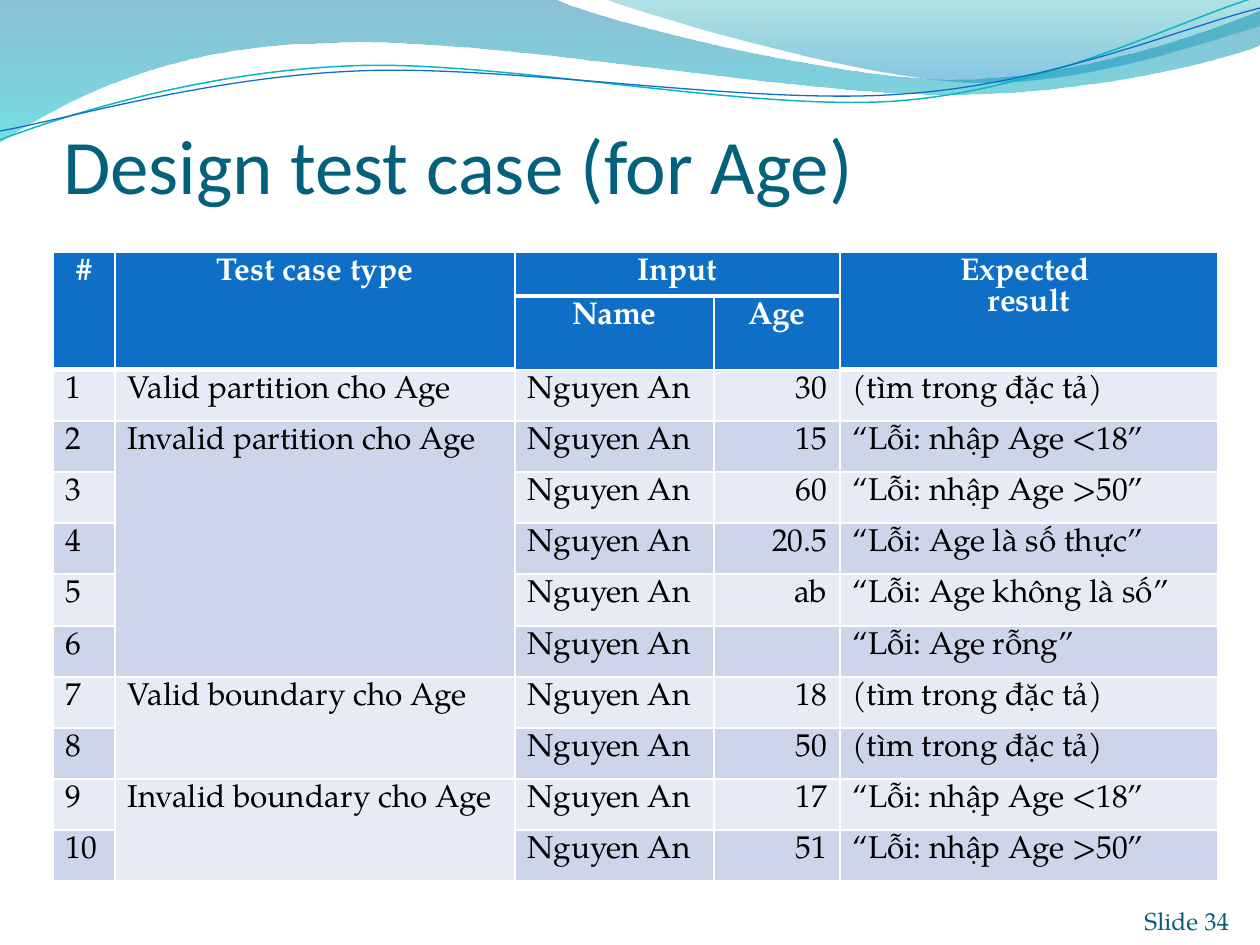
import math
from dataclasses import dataclass
from typing import Optional

from lxml import etree
from pptx import Presentation
from pptx import util as u
from pptx.dml.color import RGBColor
from pptx.enum import text
from pptx.oxml.ns import qn

PX = 914400 / 126
TILT = 2.7
SERIF = "TeX Gyre Pagella"
LEFT, CENTER, RIGHT = text.PP_ALIGN.LEFT, text.PP_ALIGN.CENTER, text.PP_ALIGN.RIGHT


@dataclass
class Stop:
    pos: float
    color: str
    alpha: int


@dataclass
class Wave:
    start: tuple
    segments: list
    stops: tuple = ()
    line: Optional[str] = None
    width: float = 0
    center: tuple = (0, 0)


@dataclass
class Case:
    kind: str
    age: str
    result: str
    span: int = 1


WAVES = [
    Wave((0, 0), [(554, -1), (600, 21, 837, 79, 955, 79), (1074, 79, 1207, 33, 1260, 11),
                  (1261, 45), (1239, 55, 1096, 96, 940, 94), (784, 94, 481, 35, 324, 43),
                  (163, 45, 58, 105, -1, 142), (0, 0)],
         stops=(Stop(0, "0074A1", 45), Stop(1, "00C6CF", 55))),
    Wave((604, -1), [(641, 14, 859, 78, 969, 82), (1079, 87, 1211, 40, 1260, 26),
                     (1260, 0), (604, -1)],
         stops=(Stop(0, "00A1A9", 30), Stop(0.8, "008BBF", 45))),
    Wave((0, 140), [(60, 117, 199, 72, 349, 66), (498, 59, 747, 112, 898, 101),
                    (1050, 89, 1182, 19, 1257, -3)],
         line="0AB8BF", width=0.85, center=(629, 72)),
    Wave((0, 131), [(59, 121, 207, 77, 357, 71), (508, 64, 752, 106, 903, 94),
                    (1053, 84, 1186, 26, 1260, 8)],
         line="0F6FC6", width=0.75, center=(629, 74)),
]

IN_SPEC = "(tìm trong đặc tả)"
UNDER, OVER = "“Lỗi: nhập Age <18”", "“Lỗi: nhập Age >50”"
CASES = [
    Case("Valid partition cho Age", "30", IN_SPEC),
    Case("Invalid partition cho Age", "15", UNDER, 5),
    Case("", "60", OVER),
    Case("", "20.5", "“Lỗi: Age là số thực”"),
    Case("", "ab", "“Lỗi: Age không là số”"),
    Case("", "", "“Lỗi: Age rỗng”"),
    Case("Valid boundary cho Age", "18", IN_SPEC, 2),
    Case("", "50", IN_SPEC),
    Case("Invalid boundary cho Age", "17", UNDER, 2),
    Case("", "51", OVER),
]
HEADER = [["#", "Test case type", "Input", "", "Expected \nresult"],
          ["", "", "Name", "Age", ""]]
COLUMNS = [62, 400, 199, 126, 378]
ROWS = [44, 44] + [51] * 4 + [52] + [51] * 5


def px(n: float) -> u.Emu:
    return u.Emu(round(n * PX))


def rgb(color: str) -> RGBColor:
    return RGBColor.from_string(color)


def write(tf, content: str, *, size: float, font: str = SERIF, color: str = "000000",
          bold: bool = False, align=LEFT, spacing=None) -> None:
    for i, line in enumerate(content.split("\n")):
        p = tf.paragraphs[0] if i == 0 else tf.add_paragraph()
        p.alignment = align
        p.line_spacing = spacing
        if line:
            r = p.add_run()
            r.text = line
            r.font.name, r.font.size, r.font.bold = font, u.Pt(size), bold
            r.font.color.rgb = rgb(color)


def add_text(s, box: tuple, content: str, *, top_inset: int = 0, **fmt) -> None:
    tf = s.shapes.add_textbox(*map(px, box)).text_frame
    tf.word_wrap = True
    tf.vertical_anchor = text.MSO_ANCHOR.BOTTOM
    tf.margin_left = tf.margin_right = tf.margin_bottom = 0
    tf.margin_top = px(top_inset)
    write(tf, content, **fmt)


def turn(point: tuple, center: tuple, degrees: float) -> tuple:
    angle = math.radians(degrees)
    dx, dy = point[0] - center[0], point[1] - center[1]
    return (center[0] + dx * math.cos(angle) - dy * math.sin(angle),
            center[1] + dx * math.sin(angle) + dy * math.cos(angle))


def add_curve(s, wave: Wave):
    tilt = TILT if wave.line else 0
    points = [wave.start] + [seg[i:i + 2] for seg in wave.segments
                             for i in range(0, len(seg), 2)]
    first, *rest = [tuple(map(px, turn(pt, wave.center, tilt))) for pt in points]
    builder = s.shapes.build_freeform(*first)
    builder.add_line_segments(rest, close=bool(wave.stops))
    sp = builder.convert_to_shape()
    sp.rotation = -tilt
    lines = iter(sp._element.xpath(".//a:path/a:lnTo"))
    for seg in wave.segments:
        group = [next(lines) for _ in range(len(seg) // 2)]
        if len(group) == 3:
            curve = etree.Element(qn("a:cubicBezTo"))
            group[0].addprevious(curve)
            for line in group:
                curve.append(line[0])
                line.getparent().remove(line)
    return sp


def add_wave(s, wave: Wave) -> None:
    sp = add_curve(s, wave)
    sp.shadow.inherit = False
    if wave.line:
        sp.fill.background()
        sp.line.color.rgb = rgb(wave.line)
        sp.line.width = u.Pt(wave.width)
        return
    sp.line.fill.background()
    sp.fill.gradient()
    sp.fill.gradient_angle = 270
    for gs, stop in zip(sp.fill.gradient_stops, wave.stops):
        gs.position = stop.pos
        gs.color.rgb = rgb(stop.color)
    for clr, stop in zip(sp._element.xpath(".//a:gs/a:srgbClr"), wave.stops):
        etree.SubElement(clr, qn("a:alpha"), val=str(stop.alpha * 1000))


def style_cell(cell, fill: str, borders: dict) -> None:
    tc_pr = cell._tc.get_or_add_tcPr()
    for side, width in borders.items():
        ln = etree.SubElement(tc_pr, qn(f"a:ln{side}"), w=str(u.Pt(width)))
        solid = etree.SubElement(ln, qn("a:solidFill"))
        etree.SubElement(solid, qn("a:srgbClr"), val="FFFFFF")
    cell.fill.solid()
    cell.fill.fore_color.rgb = rgb(fill)


def add_test_table(s) -> None:
    frame = s.shapes.add_table(len(ROWS), len(COLUMNS), px(53), px(252),
                               px(sum(COLUMNS)), px(sum(ROWS)))
    table = frame.table
    table.first_row = table.horz_banding = False
    for column, width in zip(table.columns, COLUMNS):
        column.width = px(width)
    for row, height in zip(table.rows, ROWS):
        row.height = px(height)

    body = [[str(n), c.kind, "Nguyen An", c.age, c.result] for n, c in enumerate(CASES, 1)]
    for i, values in enumerate(HEADER + body):
        head = i < len(HEADER)
        fill = "0F6FC6" if head else ("E7EBF5", "CCD5EA")[i % 2]
        for j, value in enumerate(values):
            cell = table.cell(i, j)
            thick = i == 0 or (i == 1 and not value)
            borders = {"L": 1, "R": 1, "T": 1, "B": 3 if thick else 1}
            if i > 0:
                del borders["T"]
            style_cell(cell, fill, borders)
            align = CENTER if head else RIGHT if j == 3 else LEFT
            write(cell.text_frame, value, size=18, bold=head, align=align,
                  color="FFFFFF" if head else "000000",
                  spacing=u.Pt(17.5 if head else 18))

    for j in (0, 1, 4):
        table.cell(0, j).merge(table.cell(1, j))
    table.cell(0, 2).merge(table.cell(0, 3))
    for i, case in enumerate(CASES, len(HEADER)):
        if case.span > 1:
            table.cell(i, 1).merge(table.cell(i + case.span - 1, 1))


def main() -> None:
    prs = Presentation()
    prs.slide_width, prs.slide_height = px(1260), px(945)
    s = prs.slides.add_slide(prs.slide_layouts[6])
    for wave in WAVES:
        add_wave(s, wave)
    add_text(s, (63, 53, 1155, 157), "Design test case (for Age)", top_inset=6,
             size=44, font="Calibri", color="04617B")
    add_test_table(s)
    add_text(s, (1124, 885, 105, 50), "Slide 34", size=14, color="045D75", align=RIGHT)
    prs.save("out.pptx")


if __name__ == "__main__":
    main()
